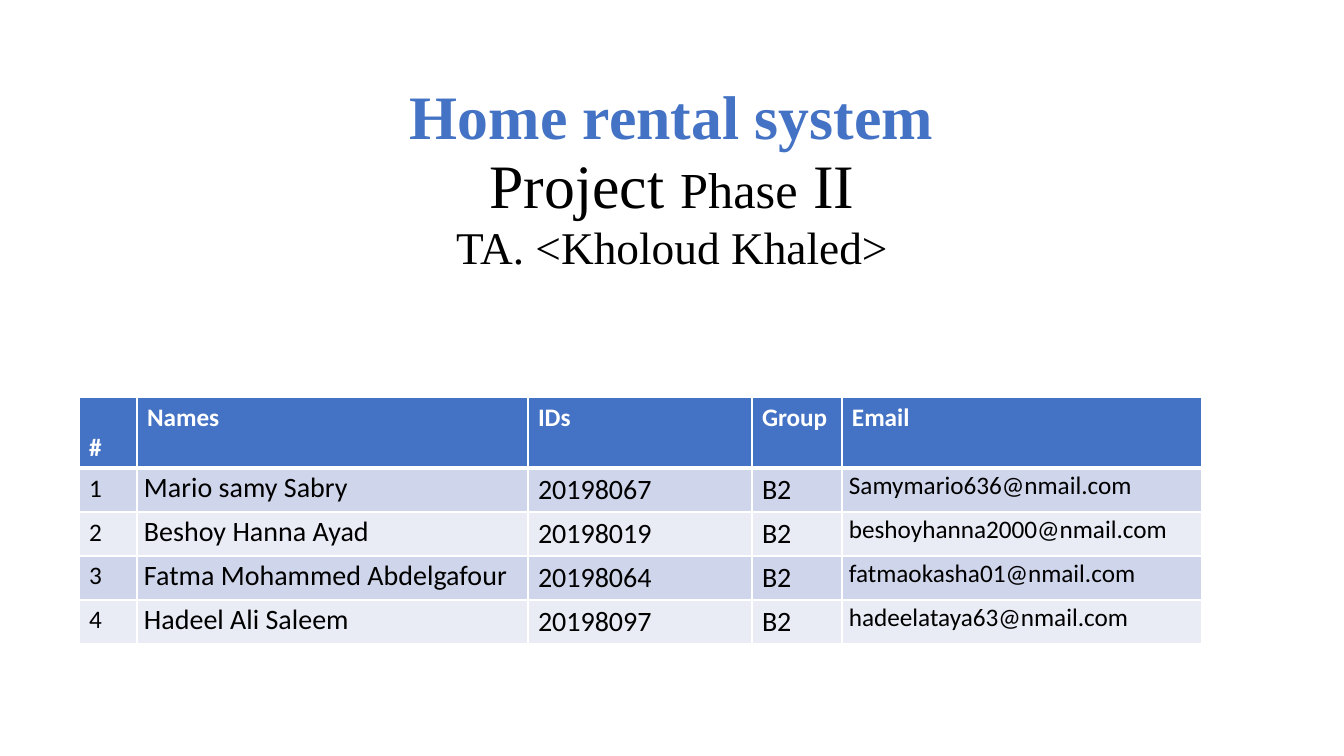
"""Build the title and team table slide of a home rental system project."""
import pptx
import pptx.dml.color
import pptx.enum.text
import pptx.oxml
import pptx.oxml.ns
import pptx.util

ALIGN = pptx.enum.text.PP_ALIGN
ANCHOR = pptx.enum.text.MSO_ANCHOR
BLUE, BLACK, WHITE = "4472C4", "000000", "FFFFFF"
BANDS = ["CFD5EA", "E9EBF5"]

TITLE = [
    (BLUE, True, [("Home rental system", 44.1)]),
    (BLACK, False, [("Project ", 44.1), ("Phase", 36), (" II", 44.1)]),
    (BLACK, False, [("TA. <Kholoud Khaled>", 32.4)]),
]
HEADERS = ["#", "Names", "IDs", "Group", "Email"]
MEMBERS = [
    ("1", "Mario samy Sabry", "20198067", "B2", "Samymario636@nmail.com"),
    ("2", "Beshoy Hanna Ayad", "20198019", "B2", "beshoyhanna2000@nmail.com"),
    ("3", "Fatma Mohammed Abdelgafour", "20198064", "B2", "fatmaokasha01@nmail.com"),
    ("4", "Hadeel Ali Saleem", "20198097", "B2", "hadeelataya63@nmail.com"),
]
COLUMN_WIDTHS = [58, 391, 224, 90, 360]
COLUMN_SIZES = [18, 20, 20, 20, 18]
TIGHT_COLUMNS = {1: ALIGN.JUSTIFY, 4: ALIGN.LEFT}
HEADER_HEIGHT, ROW_HEIGHT = 71, 44


def px(length):
    return pptx.util.Emu(round(length * 914400 / 100.8))


def color(value):
    return pptx.dml.color.RGBColor.from_string(value)


def style(font, name, size, value, bold):
    font.name, font.bold = name, bold
    font.color.rgb = color(value)
    if size:
        font.size = pptx.util.Pt(size)


def add_title(page):
    box = page.shapes.add_textbox(px(168), px(70), px(1008), px(263))
    frame = box.text_frame
    frame.word_wrap = True
    frame.vertical_anchor = ANCHOR.BOTTOM
    frame.margin_bottom = px(59)
    for index, (value, bold, spans) in enumerate(TITLE):
        para = frame.add_paragraph() if index else frame.paragraphs[0]
        para.alignment = ALIGN.CENTER
        para.line_spacing = 0.9
        para.space_before = pptx.util.Pt(2 if index else 0)
        style(para.font, "Times New Roman", None, value, bold)
        for text, size in spans:
            span = para.add_run()
            span.text = text
            span.font.size = pptx.util.Pt(size)


def add_borders(cell, top, bottom):
    properties = cell._tc.get_or_add_tcPr()
    for side, width in (("L", 1), ("R", 1), ("T", top), ("B", bottom)):
        properties.append(pptx.oxml.parse_xml(
            f'<a:ln{side} {pptx.oxml.ns.nsdecls("a")} w="{pptx.util.Pt(width)}">'
            f'<a:solidFill><a:srgbClr val="{WHITE}"/></a:solidFill></a:ln{side}>'))


def fill_cell(cell, row, column, text):
    header = row == 0
    add_borders(cell, 3 if row == 1 else 1, 3 if header else 1)
    cell.fill.solid()
    cell.fill.fore_color.rgb = color(BLUE if header else BANDS[(row - 1) % 2])
    cell.text = text
    para = cell.text_frame.paragraphs[0]
    size = 18 if header else COLUMN_SIZES[column]
    style(para.font, "Calibri", size, WHITE if header else BLACK, header)
    if header and column == 0:
        cell.vertical_anchor = ANCHOR.BOTTOM
    if not header and column in TIGHT_COLUMNS:
        cell.margin_left = cell.margin_right = px(7)
        cell.margin_top = cell.margin_bottom = 0
        para.alignment = TIGHT_COLUMNS[column]
        para.line_spacing = 1.07


def add_team(page):
    rows = [HEADERS, *MEMBERS]
    heights = [HEADER_HEIGHT] + [ROW_HEIGHT] * len(MEMBERS)
    table = page.shapes.add_table(
        len(rows), len(HEADERS), px(79), px(397),
        px(sum(COLUMN_WIDTHS)), px(sum(heights))).table
    for column, width in zip(table.columns, COLUMN_WIDTHS):
        column.width = px(width)
    for row, (texts, height) in enumerate(zip(rows, heights)):
        table.rows[row].height = px(height)
        for column, text in enumerate(texts):
            fill_cell(table.cell(row, column), row, column, text)


def main():
    deck = pptx.Presentation()
    deck.slide_width, deck.slide_height = px(1344), px(756)
    page = deck.slides.add_slide(deck.slide_layouts[6])
    add_title(page)
    add_team(page)
    deck.save("out.pptx")


if __name__ == "__main__":
    main()
